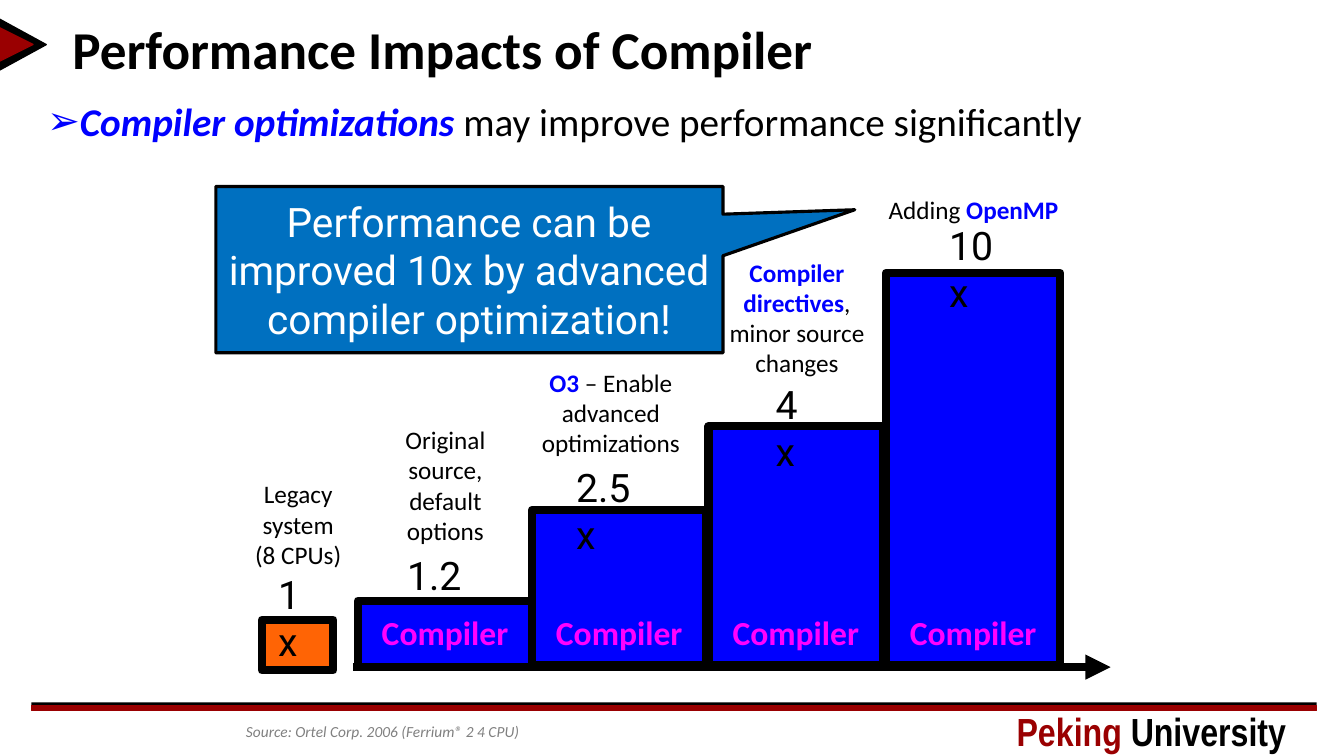
from lxml.etree import SubElement
from pptx import Presentation
from pptx.dml.color import RGBColor
from pptx.enum.shapes import MSO_CONNECTOR, MSO_SHAPE
from pptx.enum.text import MSO_ANCHOR, MSO_AUTO_SIZE, PP_ALIGN
from pptx.oxml.ns import qn
from pptx.util import Cm, Pt

BLACK = RGBColor(0x00, 0x00, 0x00)
WHITE = RGBColor(0xFF, 0xFF, 0xFF)
CRIMSON = RGBColor(0x9A, 0x00, 0x01)
BLUE = RGBColor(0x00, 0x00, 0xFF)
ORANGE = RGBColor(0xFF, 0x64, 0x05)
MAGENTA = RGBColor(0xFF, 0x00, 0xFF)
GREY = RGBColor(0x80, 0x80, 0x80)
CALLOUT_BLUE = RGBColor(0x00, 0x70, 0xC0)

TITLE = {"name": "Calibri", "size": Pt(38), "bold": True}
BULLET = {"name": "Calibri", "size": Pt(28)}
CAPTION = {"name": "Calibri", "size": Pt(18)}
VALUE = {"name": "Roboto", "size": Pt(28)}
BAR_LABEL = {"name": "Calibri", "size": Pt(24), "bold": True}
SOURCE = {"name": "Calibri", "size": Pt(11), "italic": True}
UNIVERSITY = {"name": "Arial Narrow", "size": Pt(28), "bold": True}
CALLOUT = {"name": "Roboto", "size": Pt(29)}
STRONG = {"bold": True}
STRONG_ITALIC = {"bold": True, "italic": True}
NO_INSETS = {"margin_left": 0, "margin_right": 0, "margin_top": 0, "margin_bottom": 0}

deck = Presentation()
deck.slide_width, deck.slide_height = Cm(33.87), Cm(19.05)
page = deck.slides.add_slide(deck.slide_layouts[1])


def write(box, place, paragraphs, look, align=PP_ALIGN.CENTER, spacing=1.0, **frame_format):
    box.left, box.top, box.width, box.height = [Cm(length) for length in place]
    frame = box.text_frame
    defaults = {"word_wrap": True, "auto_size": MSO_AUTO_SIZE.NONE,
                "vertical_anchor": MSO_ANCHOR.TOP}
    for name, value in (defaults | frame_format).items():
        setattr(frame, name, value)
    for index, spans in enumerate(paragraphs):
        para = frame.add_paragraph() if index else frame.paragraphs[0]
        for name, value in {"alignment": align, "line_spacing": spacing,
                            "space_before": Pt(0)}.items():
            setattr(para, name, value)
        for text, color, *extra in spans:
            span = para.add_run()
            span.text = text
            for name, value in (look | (extra[0] if extra else {})).items():
                setattr(span.font, name, value)
            span.font.color.rgb = color


def draw(preset, place, fill, line, weight, rotation=0):
    shape = page.shapes.add_shape(preset, *[Cm(length) for length in place])
    shape.shadow.inherit = False
    shape.rotation = rotation
    shape.fill.solid()
    shape.fill.fore_color.rgb = fill
    shape.line.color.rgb = line
    shape.line.width = Pt(weight)
    return shape


footer_band = draw(MSO_SHAPE.RECTANGLE, (0.79, 17.7, 32.39, 0.08), BLACK, BLACK, 0)
footer_band.line.fill.background()
draw(MSO_SHAPE.RECTANGLE, (0.79, 17.78, 32.39, 0.13), CRIMSON, CRIMSON, 1)
draw(MSO_SHAPE.ISOSCELES_TRIANGLE, (-0.08, 0.53, 1.3, 1.19), BLACK, BLACK, 1, 90)
draw(MSO_SHAPE.ISOSCELES_TRIANGLE, (-0.03, 0.69, 0.86, 0.86), CRIMSON, CRIMSON, 1, 90)

write(page.shapes.add_textbox(0, 0, 0, 0), (25.37, 17.7, 8.03, 1.45),
      [[("Peking ", CRIMSON), ("University", BLACK)]], UNIVERSITY, PP_ALIGN.LEFT)
write(page.shapes.title, (1.57, 0.38, 31.52, 1.85),
      [[("Performance Impacts of Compiler", BLACK)]], TITLE, PP_ALIGN.LEFT, 0.9,
      vertical_anchor=MSO_ANCHOR.MIDDLE)
write(page.shapes.add_textbox(0, 0, 0, 0), (6.2, 17.91, 22.28, 1.14),
      [[("Source: Ortel Corp. 2006 (Ferrium® 2 4 CPU)", GREY)]], SOURCE, PP_ALIGN.LEFT, 0.8,
      vertical_anchor=MSO_ANCHOR.MIDDLE, **NO_INSETS)

body = page.placeholders[1]
write(body, (1.19, 2.46, 31.12, 1.19),
      [[("Compiler optimizations", BLUE, STRONG_ITALIC),
        (" may improve performance significantly", BLACK)]],
      BULLET, PP_ALIGN.LEFT, **NO_INSETS)
bullet_format = body.text_frame.paragraphs[0]._p.get_or_add_pPr()
bullet_format.set("marL", str(Cm(0.74)))
bullet_format.set("indent", str(Cm(-0.74)))
bullet_color = SubElement(bullet_format, qn("a:buClr"))
SubElement(bullet_color, qn("a:srgbClr")).set("val", str(BLUE))
SubElement(bullet_format, qn("a:buChar")).set("char", "➢")

axis = page.shapes.add_connector(MSO_CONNECTOR.STRAIGHT, Cm(8.89), Cm(16.81), Cm(27.99), Cm(16.81))
axis.line.color.rgb = BLACK
axis.line.width = Pt(6)
axis_format = axis.element.spPr
SubElement(axis_format.find(qn("a:ln")), qn("a:tailEnd")).set("type", "triangle")
SubElement(axis_format, qn("a:effectLst"))

draw(MSO_SHAPE.RECTANGLE, (6.6, 15.62, 1.8, 1.27), ORANGE, BLACK, 6)
write(page.shapes.add_textbox(0, 0, 0, 0), (6.76, 14.25, 1.45, 1.45),
      [[("1x", BLACK)]], VALUE, PP_ALIGN.LEFT)
write(page.shapes.add_textbox(0, 0, 0, 0), (10.01, 13.77, 2.21, 1.45),
      [[("1.2x", BLACK)]], VALUE, PP_ALIGN.LEFT)

BAR_WIDTH = 4.39
for left, top, bottom in [(9.02, 15.14, 16.81), (13.41, 12.85, 16.76),
                          (17.86, 10.74, 16.76), (22.33, 6.88, 16.76)]:
    draw(MSO_SHAPE.RECTANGLE, (left, top, BAR_WIDTH, bottom - top), BLUE, BLACK, 6)
    write(page.shapes.add_textbox(0, 0, 0, 0), (left, 15.29, BAR_WIDTH, 1.27),
          [[("Compiler", MAGENTA)]], BAR_LABEL)

for value, left, top, width in [("2.5x", 14.27, 11.56, 2.21), ("4x", 19.3, 9.45, 1.45),
                                ("10x", 23.67, 5.46, 1.96)]:
    write(page.shapes.add_textbox(0, 0, 0, 0), (left, top, width, 1.45),
          [[(value, BLACK)]], VALUE, PP_ALIGN.LEFT)

captions = [
    ((5.99, 11.94, 3.05, 2.57), [[("Legacy system", BLACK)], [("(8 CPUs)", BLACK)]]),
    ((9.22, 10.57, 4.01, 3.33), [[("Original source, default options", BLACK)]]),
    ((13.06, 9.12, 4.67, 2.57),
     [[("O3", BLUE, STRONG), (" – Enable advanced optimizations", BLACK)]]),
    ((17.75, 6.35, 4.67, 3.33),
     [[("Compiler directives", BLUE, STRONG), (", minor source changes", BLACK)]]),
    ((21.46, 4.78, 6.15, 1.02), [[("Adding ", BLACK), ("OpenMP", BLUE, STRONG)]]),
]
for place, paragraphs in captions:
    write(page.shapes.add_textbox(0, 0, 0, 0), place, paragraphs, CAPTION)

callout_place = (5.44, 4.7, 12.78, 4.19)
callout = draw(MSO_SHAPE.RECTANGULAR_CALLOUT, callout_place, CALLOUT_BLUE, BLACK, 2.25)
callout.adjustments[0], callout.adjustments[1] = 0.76, -0.36
write(callout, callout_place,
      [[("Performance can be improved 10x by advanced compiler optimization!", WHITE)]],
      CALLOUT, vertical_anchor=MSO_ANCHOR.MIDDLE, **NO_INSETS)

deck.save("out.pptx")
